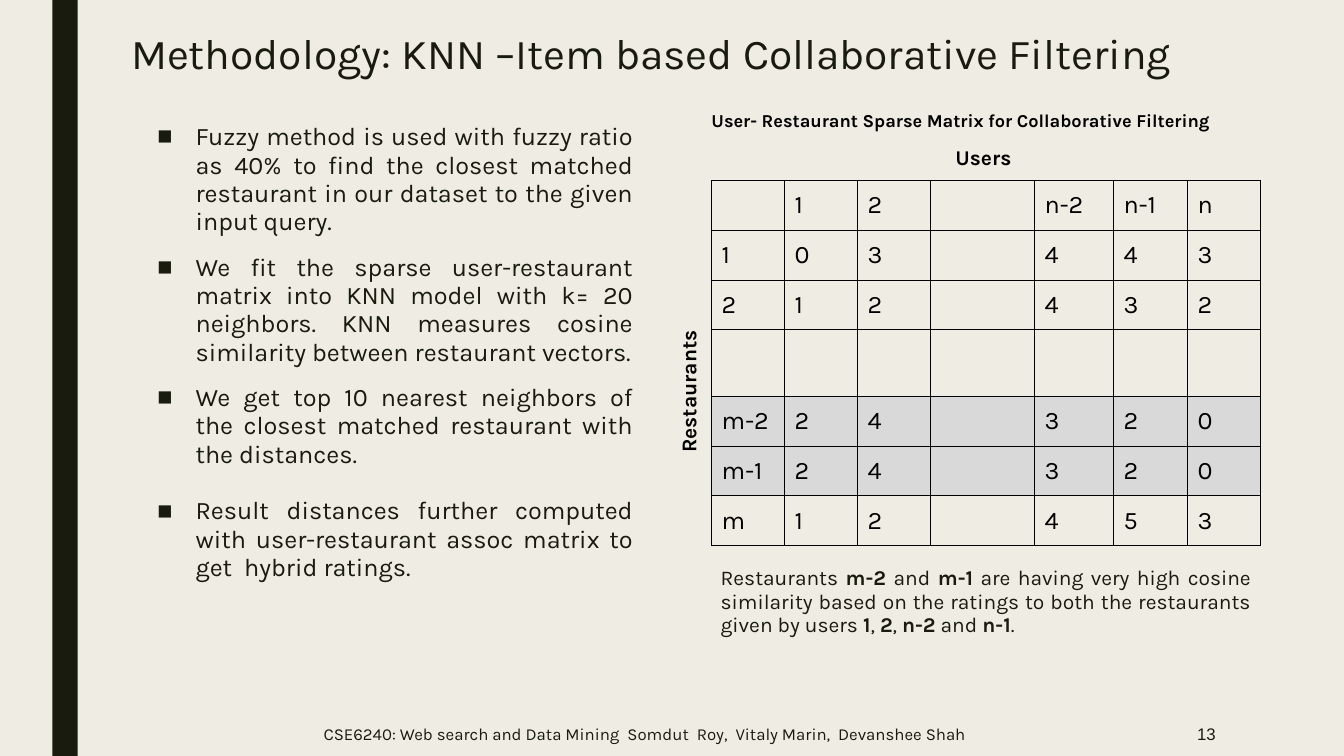
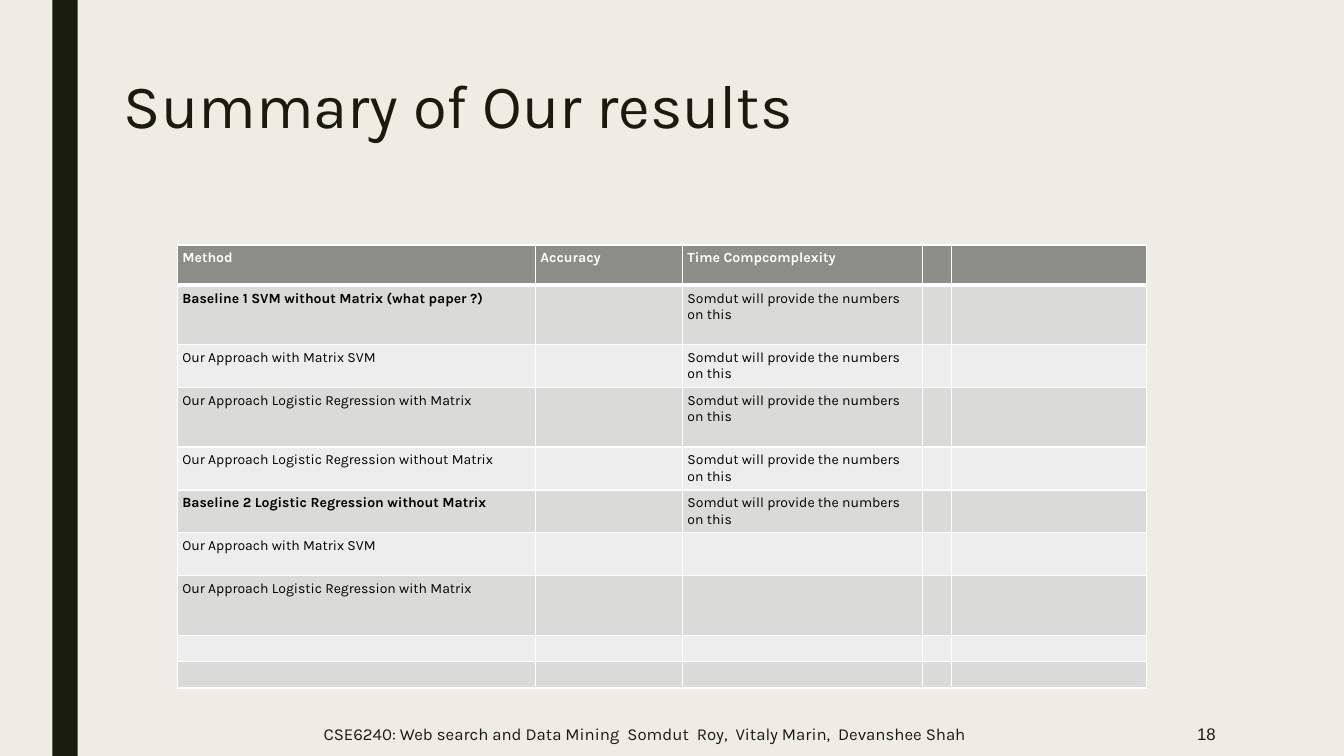
import pptx
import pptx.dml.color
import pptx.enum.shapes
import pptx.enum.text
import pptx.oxml.ns
import pptx.util
from lxml import etree

RGBColor = pptx.dml.color.RGBColor
Pt = pptx.util.Pt
Align = pptx.enum.text.PP_ALIGN
Anchor = pptx.enum.text.MSO_ANCHOR

CREAM = RGBColor(0xEF, 0xED, 0xE3)
INK = RGBColor(0x19, 0x1B, 0x0E)
BLACK = RGBColor(0, 0, 0)
WHITE = RGBColor(255, 255, 255)
HIGHLIGHT = RGBColor(0xD9, 0xD9, 0xD9)
HEADER = RGBColor(0x8C, 0x8D, 0x86)
BAND_DARK = RGBColor(0xDA, 0xDA, 0xD8)
BAND_LIGHT = RGBColor(0xED, 0xED, 0xED)

FONT = "Karla"
FOOTER = "CSE6240: Web search and Data Mining  Somdut  Roy,  Vitaly Marin,  Devanshee Shah"
TITLE_ONLY = 5


def add_xml(parent, tag, **attributes):
    return etree.SubElement(parent, pptx.oxml.ns.qn(tag), attributes)


class Deck:
    """Holds the style and the current slide; lengths are percentages of the slide's size."""

    def __init__(self):
        self.presentation = pptx.Presentation()
        self.presentation.slide_width = pptx.util.Inches(13.33)
        self.presentation.slide_height = pptx.util.Inches(7.5)
        fill = self.presentation.slide_master.background.fill
        fill.solid()
        fill.fore_color.rgb = CREAM
        self.slide = None

    def across(self, share):
        return round(self.presentation.slide_width * share / 100)

    def down(self, share):
        return round(self.presentation.slide_height * share / 100)

    def box(self, left, top, width, height):
        return self.across(left), self.down(top), self.across(width), self.down(height)

    def new_slide(self, number, title, title_box, title_size):
        layout = self.presentation.slide_layouts[TITLE_ONLY]
        self.slide = self.presentation.slides.add_slide(layout)
        self.side_bar()
        self.text([FOOTER], (23.7, 95.07, 51.52, 3.87), 12, inset=0.05, anchor=Anchor.MIDDLE)
        self.title(title, title_box, title_size)
        self.text([number], (88.58, 95.07, 2.25, 3.87), 12, inset=0.05, anchor=Anchor.MIDDLE,
                  align=Align.RIGHT, font="Arial", wrap=False)

    def side_bar(self):
        bar = self.slide.shapes.add_shape(
            pptx.enum.shapes.MSO_SHAPE.RECTANGLE, *self.box(3.9, 0, 1.88, 100))
        bar.shadow.inherit = False
        bar.fill.solid()
        bar.fill.fore_color.rgb = INK
        bar.line.fill.background()

    def title(self, text, box, size):
        title = self.slide.shapes.title
        title.left, title.top, title.width, title.height = self.box(*box)
        self.format_frame(title.text_frame, 0.05, Anchor.TOP)
        title.text_frame.text = text
        paragraph = title.text_frame.paragraphs[0]
        paragraph.alignment = Align.LEFT
        paragraph.line_spacing = 0.89
        self.format_run(paragraph.runs[0], size, INK)

    def text(self, paragraphs, box, size, color=INK, inset=0.1, anchor=Anchor.TOP,
             align=Align.LEFT, font=FONT, wrap=True, line_spacing=None, rotation=0):
        """Add a text box; parts between ** marks are bold."""
        shape = self.slide.shapes.add_textbox(*self.box(*box))
        shape.rotation = rotation
        frame = shape.text_frame
        self.format_frame(frame, inset, anchor, wrap)
        for index, content in enumerate(paragraphs):
            paragraph = frame.add_paragraph() if index else frame.paragraphs[0]
            paragraph.alignment = align
            paragraph.line_spacing = line_spacing
            for part, words in enumerate(content.split("**")):
                if words:
                    run = paragraph.add_run()
                    run.text = words
                    self.format_run(run, size, color, part % 2 == 1, font)
        return frame

    def bullets(self, items, box, size, gaps):
        """Add justified bullet items, each with its own space before."""
        frame = self.text(items, box, size, inset=0.05, align=Align.JUSTIFY, line_spacing=0.94)
        for paragraph, gap in zip(frame.paragraphs, gaps):
            paragraph.space_before = Pt(gap)
            properties = paragraph._p.get_or_add_pPr()
            properties.set("marL", str(pptx.util.Inches(0.5)))
            properties.set("indent", str(pptx.util.Inches(-0.38)))
            add_xml(properties, "a:buFont", typeface="Arial")
            add_xml(properties, "a:buChar", char="■")

    def table(self, rows, left, top, widths, heights, size, inset, style, border):
        """style(row, column) gives fill, text colour and bold; border(row) gives top and bottom."""
        shape = self.slide.shapes.add_table(
            len(heights), len(widths), *self.box(left, top, sum(widths), sum(heights)))
        table = shape.table
        table.first_row = table.horz_banding = False
        for column, width in zip(table.columns, widths):
            column.width = self.across(width)
        for row, height in zip(table.rows, heights):
            row.height = self.down(height)
        for r, row in enumerate(rows):
            for c, content in enumerate(row):
                self.cell(table.cell(r, c), content, size, inset, *style(r, c), *border(r))

    def cell(self, cell, content, size, inset, fill, color, bold, line_color, side, top, bottom):
        margin = pptx.util.Inches(inset)
        cell.margin_left = cell.margin_right = cell.margin_top = cell.margin_bottom = margin
        if fill is None:
            cell.fill.background()
        else:
            cell.fill.solid()
            cell.fill.fore_color.rgb = fill
        paragraph = cell.text_frame.paragraphs[0]
        if content:
            paragraph.text = content
            self.format_run(paragraph.runs[0], size, color, bold)
        else:
            end = add_xml(paragraph._p, "a:endParaRPr", sz=str(size * 100))
            add_xml(end, "a:latin", typeface=FONT)
        properties = cell._tc.get_or_add_tcPr()
        edges = (("a:lnL", side), ("a:lnR", side), ("a:lnT", top), ("a:lnB", bottom))
        for position, (tag, width) in enumerate(edges):
            line = add_xml(properties, tag, w=str(Pt(width)))
            add_xml(add_xml(line, "a:solidFill"), "a:srgbClr", val=str(line_color))
            properties.insert(position, line)

    @staticmethod
    def format_frame(frame, inset, anchor, wrap=True):
        margin = pptx.util.Inches(inset)
        frame.margin_left = frame.margin_right = frame.margin_top = frame.margin_bottom = margin
        frame.vertical_anchor = anchor
        frame.auto_size = pptx.enum.text.MSO_AUTO_SIZE.NONE
        frame.word_wrap = wrap

    @staticmethod
    def format_run(run, size, color, bold=False, font=FONT):
        run.font.name = font
        run.font.size = Pt(size)
        run.font.bold = bold
        run.font.color.rgb = color


def methodology_slide(deck):
    deck.new_slide("13", "Methodology: KNN –Item based Collaborative Filtering",
                   (9.38, 3.73, 78.75, 10.27), 30.4)
    deck.bullets([
        "Fuzzy method is used with fuzzy ratio as 40% to find the closest matched restaurant "
        "in our dataset to the given input query.",
        "We fit the sparse user-restaurant matrix into KNN model with k= 20 neighbors. "
        "KNN measures cosine similarity between restaurant vectors.",
        "We get top 10 nearest neighbors of the closest matched restaurant with the distances.",
        "Result distances further computed with user-restaurant assoc matrix to "
        "get  hybrid ratings.",
    ], (10.43, 15.6, 37.05, 68.8), 18, gaps=(12, 12, 12, 20))

    ratings = [
        ["", "1", "2", "", "n-2", "n-1", "n"],
        ["1", "0", "3", "", "4", "4", "3"],
        ["2", "1", "2", "", "4", "3", "2"],
        [""] * 7,
        ["m-2", "2", "4", "", "3", "2", "0"],
        ["m-1", "2", "4", "", "3", "2", "0"],
        ["m", "1", "2", "", "4", "5", "3"],
    ]
    similar_rows = (4, 5)
    deck.table(ratings, 52.95, 23.87,
               widths=[5.43] * 3 + [7.74, 5.88, 5.51, 5.4],
               heights=[5.33] * 3 + [8.8] + [5.33] * 3, size=18, inset=0.1,
               style=lambda row, column: (HIGHLIGHT if row in similar_rows else None, BLACK, False),
               border=lambda row: (BLACK, 0.75, 0.75, 0.75))
    deck.text(["**Users**"], (70.35, 17.73, 8.1, 6), 15, BLACK)
    deck.text(["**Restaurants**"], (44.93, 47.07, 12.52, 6), 15, BLACK, rotation=270)
    deck.text(["Restaurants **m-2** and **m-1** are having very high cosine similarity based on "
               "the ratings to both the restaurants given by users "
               "**1**, **2**, **n-2** and **n-1**."],
              (52.88, 73.6, 40.95, 12.27), 15, align=Align.JUSTIFY, line_spacing=0.94)
    deck.text(["**User- Restaurant Sparse Matrix for Collaborative Filtering**"],
              (52.2, 13.07, 44.4, 5.6), 13, BLACK)


def results_slide(deck):
    deck.new_slide("18", "Summary of Our results", (8.85, 9.33, 78.75, 21.73), 44)
    pending = "Somdut will provide the numbers on this"
    methods = [
        ("Baseline 1 SVM without Matrix (what paper ?)", pending),
        ("Our Approach with Matrix SVM", pending),
        ("Our Approach Logistic Regression with Matrix", pending),
        ("Our Approach Logistic Regression without Matrix", pending),
        ("Baseline 2 Logistic Regression without Matrix", pending),
        ("Our Approach with Matrix SVM", ""),
        ("Our Approach Logistic Regression with Matrix", ""),
        ("", ""),
        ("", ""),
    ]
    rows = [["Method", "Accuracy", "Time Compcomplexity", "", ""]]
    rows += [[method, "", time, "", ""] for method, time in methods]

    def style(row, column):
        if row == 0:
            return HEADER, WHITE, True
        is_baseline = rows[row][column].startswith("Baseline")
        return BAND_DARK if row % 2 else BAND_LIGHT, BLACK, is_baseline

    def border(row):
        return WHITE, 1, 3 if row == 1 else 1, 3 if row == 0 else 1

    tall, medium, short = 7.87, 5.67, 3.47
    deck.table(rows, 13.2, 32.4, widths=[26.64, 10.94, 17.86, 2.16, 14.51],
               heights=[5.33, tall, medium, tall] + [medium] * 3 + [tall, short, short],
               size=10, inset=0.05, style=style, border=border)


def main():
    deck = Deck()
    methodology_slide(deck)
    results_slide(deck)
    deck.presentation.save("out.pptx")


if __name__ == "__main__":
    main()
